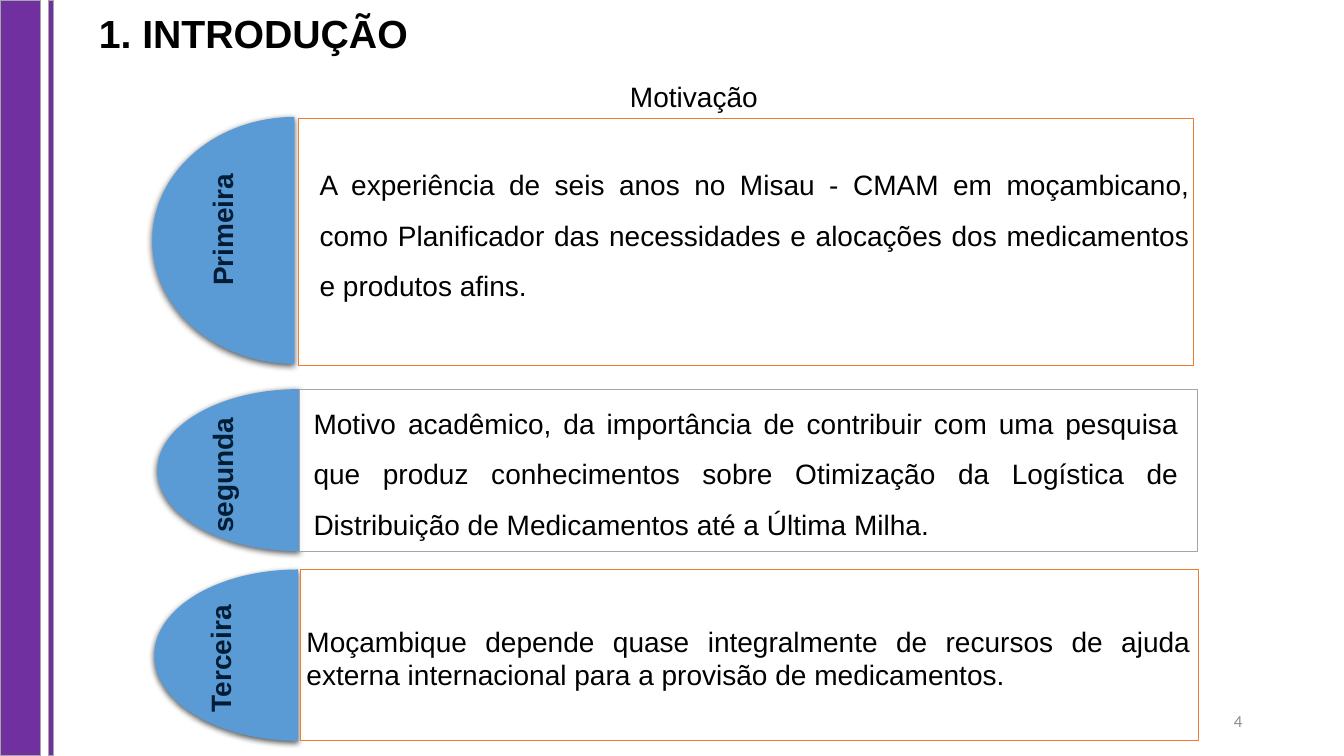
from lxml import etree
from pptx import Presentation
from pptx import util as u
from pptx.dml.color import RGBColor
from pptx.enum import shapes, text
from pptx.oxml import ns

PURPLE = RGBColor(0x70, 0x30, 0xA0)
STRIPE_EDGE = RGBColor(0xA6, 0xA6, 0xA6)
BLUE = RGBColor(0x5B, 0x9B, 0xD5)
ORANGE = RGBColor(0xED, 0x7D, 0x31)
GREY = RGBColor(0xA5, 0xA5, 0xA5)
WHITE = RGBColor(0xFF, 0xFF, 0xFF)
BLACK = RGBColor(0, 0, 0)
NAVY = RGBColor(0x00, 0x1D, 0x35)
NUMBER_GREY = RGBColor(0x8C, 0x8C, 0x8C)

LEFT = text.PP_ALIGN.LEFT
RIGHT = text.PP_ALIGN.RIGHT
JUSTIFY = text.PP_ALIGN.JUSTIFY
TOP = text.MSO_ANCHOR.TOP
MIDDLE = text.MSO_ANCHOR.MIDDLE

REASONS = [
    {
        "label": "Primeira",
        "label_place": (1.12, 1.63, 2.17, 0.44),
        "pie": (1.51, 1.16, 2.82, 2.45),
        "frame": (2.96, 1.17, 8.88, 2.45),
        "edge": ORANGE,
        "text_place": (3.09, 1.17, 8.79, 2.16),
        "spacing": 1.5,
        "body": "A experiência de seis anos no Misau - CMAM em moçambicano, "
                "como Planificador das necessidades e alocações dos "
                "medicamentos e produtos afins.",
    },
    {
        "label": "segunda",
        "label_place": (1.4, 4.36, 1.61, 0.44),
        "pie": (1.56, 3.86, 2.82, 1.61),
        "frame": (2.97, 3.86, 8.91, 1.61),
        "edge": GREY,
        "text_place": (3.03, 3.88, 8.74, 1.47),
        "spacing": 1.5,
        "body": "Motivo acadêmico, da importância de contribuir com uma "
                "pesquisa que produz conhecimentos sobre Otimização da "
                "Logística de Distribuição de Medicamentos até a Última Milha.",
    },
    {
        "label": "Terceira",
        "label_place": (1.38, 6.14, 1.61, 0.44),
        "pie": (1.53, 5.65, 2.85, 1.7),
        "frame": (2.98, 5.65, 8.91, 1.7),
        "edge": ORANGE,
        "text_place": (2.96, 5.65, 8.93, 1.75),
        "spacing": 1.0,
        "body": "Moçambique depende quase integralmente de recursos de ajuda "
                "externa internacional para a provisão de medicamentos.",
    },
]


class SlideBuilder:
    font = "Arial"
    size = 20

    def __init__(self, slide):
        self.slide = slide

    def place(self, place):
        return [u.Inches(length) for length in place]

    def set_text(self, shape, content, size=None, font=None, color=BLACK,
                 bold=False, align=LEFT, anchor=TOP, spacing=1.0):
        frame = shape.text_frame
        frame.text = content
        frame.word_wrap = True
        frame.vertical_anchor = anchor
        paragraph = frame.paragraphs[0]
        paragraph.alignment = align
        paragraph.line_spacing = spacing
        for run in paragraph.runs:
            run.font.size = u.Pt(size or self.size)
            run.font.name = font or self.font
            run.font.bold = bold
            run.font.color.rgb = color

    def title(self, content, place):
        shape = self.slide.shapes.title
        shape.left, shape.top, shape.width, shape.height = self.place(place)
        shape.text_frame.auto_size = text.MSO_AUTO_SIZE.NONE
        self.set_text(shape, content, size=28, bold=True, spacing=0.9)

    def text_box(self, content, place, inset=None, rotation=0, **style):
        shape = self.slide.shapes.add_textbox(*self.place(place))
        shape.rotation = rotation
        self.set_text(shape, content, **style)
        if inset is not None:
            frame = shape.text_frame
            frame.margin_left = frame.margin_right = u.Inches(inset)
            frame.margin_top = frame.margin_bottom = u.Inches(inset)

    def shape(self, kind, place, fill, edge=None, edge_width=1):
        shape = self.slide.shapes.add_shape(kind, *self.place(place))
        shape.shadow.inherit = False
        shape.fill.solid()
        shape.fill.fore_color.rgb = fill
        if edge is None:
            shape.line.fill.background()
        else:
            shape.line.color.rgb = edge
            shape.line.width = u.Pt(edge_width)
        return shape

    def stripe(self, place):
        self.shape(shapes.MSO_SHAPE.RECTANGLE, place, PURPLE, STRIPE_EDGE)

    def frame(self, place, edge):
        shape = self.shape(shapes.MSO_SHAPE.RECTANGLE, place, WHITE, edge, 0.5)
        fill = shape._element.spPr.find(ns.qn("a:solidFill"))
        color = fill.find(ns.qn("a:srgbClr"))
        etree.SubElement(color, ns.qn("a:alpha"), val="90000")

    def half_pie(self, place):
        shape = self.shape(shapes.MSO_SHAPE.PIE, place, BLUE)
        shape.adjustments[0] = 54
        shape.adjustments[1] = 162
        effects = shape._element.spPr.find(ns.qn("a:effectLst"))
        shadow = etree.SubElement(
            effects, ns.qn("a:outerShdw"), blurRad=str(u.Pt(4.5)),
            dist=str(u.Pt(1.5)), dir="5400000", rotWithShape="0")
        color = etree.SubElement(shadow, ns.qn("a:srgbClr"), val="000000")
        etree.SubElement(color, ns.qn("a:alpha"), val="63000")

    def reason(self, reason):
        self.half_pie(reason["pie"])
        self.frame(reason["frame"], reason["edge"])
        self.text_box(reason["body"], reason["text_place"], inset=0.08,
                      align=JUSTIFY, anchor=MIDDLE, spacing=reason["spacing"])
        self.text_box(reason["label"], reason["label_place"], rotation=270,
                      color=NAVY, bold=True)


def main():
    presentation = Presentation()
    presentation.slide_width = u.Inches(13.33)
    presentation.slide_height = u.Inches(7.5)
    builder = SlideBuilder(
        presentation.slides.add_slide(presentation.slide_layouts[5]))
    builder.stripe((0, 0, 0.4, 7.5))
    builder.stripe((0.48, 0, 0.05, 7.5))
    builder.title("1. INTRODUÇÃO", (0.88, 0.09, 6.85, 0.83))
    builder.text_box("Motivação", (6.15, 0.78, 2.17, 0.83), spacing=0.9)
    for reason in REASONS:
        builder.reason(reason)
    builder.text_box("4", (9.42, 6.95, 3, 0.4), size=12, font="Calibri",
                     color=NUMBER_GREY, align=RIGHT, anchor=MIDDLE)
    presentation.save("out.pptx")


if __name__ == "__main__":
    main()
